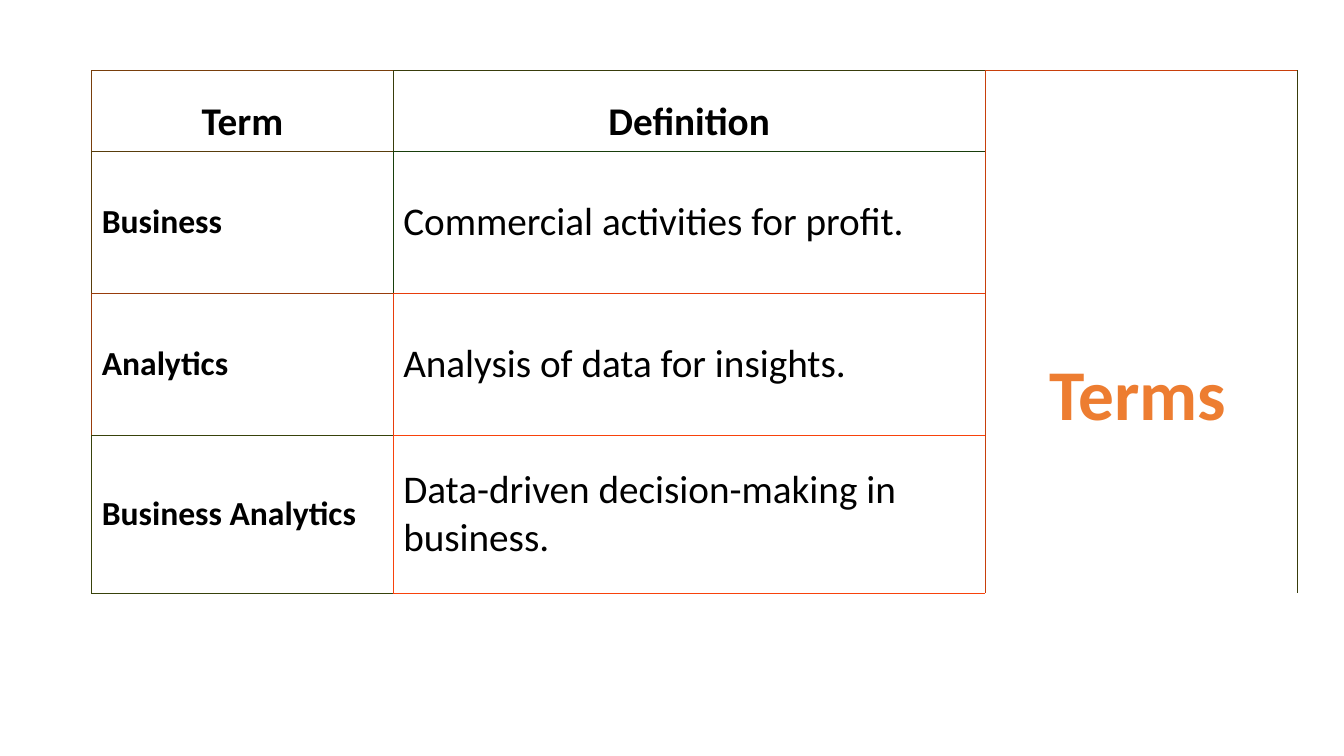
from dataclasses import dataclass

from lxml.etree import SubElement
from pptx import Presentation
from pptx.dml.color import RGBColor
from pptx.enum.text import MSO_ANCHOR, PP_ALIGN
from pptx.oxml.ns import qn
from pptx.util import Inches, Pt


@dataclass(frozen=True)
class Theme:
    font: str = "Calibri"
    text: str = "000000"
    accent: str = "ED7D31"
    fill: str = "FFFFFF"
    body: int = 28
    term: int = 24
    title: int = 51
    thin: float = 0.75
    rule: float = 1
    vertical: tuple = (
        ("783E0B", "383C0B", "C83F0B", "383C0B"),
        ("583D0B", "183E0B", "C83F0B", "383C0B"),
        ("983C0B", "E83D0B", "C83F0B", "383C0B"),
        ("38420B", "F8420B", "C83F0B", "383C0B"),
    )
    horizontal: tuple = (
        ("783E0B", "383C0B", "C83F0B"),
        ("583D0B", "183E0B", None),
        ("983C0B", "E83D0B", None),
        ("38420B", "F8420B", None),
        ("38420B", "F8420B", "B8460B"),
    )


THEME = Theme()
COLUMNS = (2.99, 5.87, 3.1)
ROWS = (0.8, 1.41, 1.41, 1.57)
ENTRIES = (
    ("Term", "Definition"),
    ("Business", "Commercial activities for profit."),
    ("Analytics", "Analysis of data for insights."),
    ("Business Analytics", "Data-driven decision-making in business."),
)


def style_text(tf, size, color, bold, align, anchor):
    tf.vertical_anchor = anchor
    p = tf.paragraphs[0]
    p.alignment = align
    for r in p.runs:
        r.font.name = THEME.font
        r.font.size = Pt(size)
        r.font.bold = bold
        r.font.color.rgb = RGBColor.from_string(color)
    return p


def add_border(cell, side, color, width):
    ln = SubElement(cell._tc.get_or_add_tcPr(), qn(f"a:ln{side}"), w=str(Pt(width)))
    SubElement(SubElement(ln, qn("a:solidFill")), qn("a:srgbClr"), val=color)


def style_cell(cell, row, col):
    edges = (
        ("L", THEME.vertical[row][col], THEME.thin),
        ("R", THEME.vertical[row][col + 1], THEME.thin),
        ("T", THEME.horizontal[row][col], THEME.rule if row else THEME.thin),
        ("B", THEME.horizontal[row + 1][col],
         THEME.rule if row + 1 < len(ROWS) else THEME.thin),
    )
    for side, color, width in edges:
        if color:
            add_border(cell, side, color, width)
    cell.fill.solid()
    cell.fill.fore_color.rgb = RGBColor.from_string(THEME.fill)


def add_terms_table(slide, left, top):
    table = slide.shapes.add_table(
        len(ROWS), len(COLUMNS), Inches(left), Inches(top),
        Inches(sum(COLUMNS)), Inches(sum(ROWS))).table
    table.first_row = table.horz_banding = False
    for column, width in zip(table.columns, COLUMNS):
        column.width = Inches(width)
    for row, height in zip(table.rows, ROWS):
        row.height = Inches(height)
    for i in range(len(ROWS)):
        for j in range(len(COLUMNS)):
            style_cell(table.cell(i, j), i, j)
    table.cell(0, 2).merge(table.cell(len(ROWS) - 1, 2))
    for i, entry in enumerate(ENTRIES):
        header = i == 0
        for j, text in enumerate(entry):
            cell = table.cell(i, j)
            cell.text_frame.text = text
            cell.vertical_anchor = MSO_ANCHOR.BOTTOM if header else MSO_ANCHOR.MIDDLE
            style_text(
                cell.text_frame,
                THEME.term if j == 0 and not header else THEME.body,
                THEME.text, header or j == 0,
                PP_ALIGN.CENTER if header else PP_ALIGN.LEFT,
                cell.vertical_anchor)


def add_title(slide, left, top, width, height):
    tf = slide.shapes.add_textbox(
        Inches(left), Inches(top), Inches(width), Inches(height)).text_frame
    tf.word_wrap = True
    tf.text = "Terms"
    p = style_text(tf, THEME.title, THEME.accent, True,
                   PP_ALIGN.CENTER, MSO_ANCHOR.BOTTOM)
    p.line_spacing = 0.7


def main():
    prs = Presentation()
    prs.slide_width, prs.slide_height = Inches(13.33), Inches(7.5)
    slide = prs.slides.add_slide(prs.slide_layouts[6])
    add_terms_table(slide, 0.91, 0.7)
    add_title(slide, 9.52, 3.55, 3.53, 0.79)
    prs.save("out.pptx")


if __name__ == "__main__":
    main()
